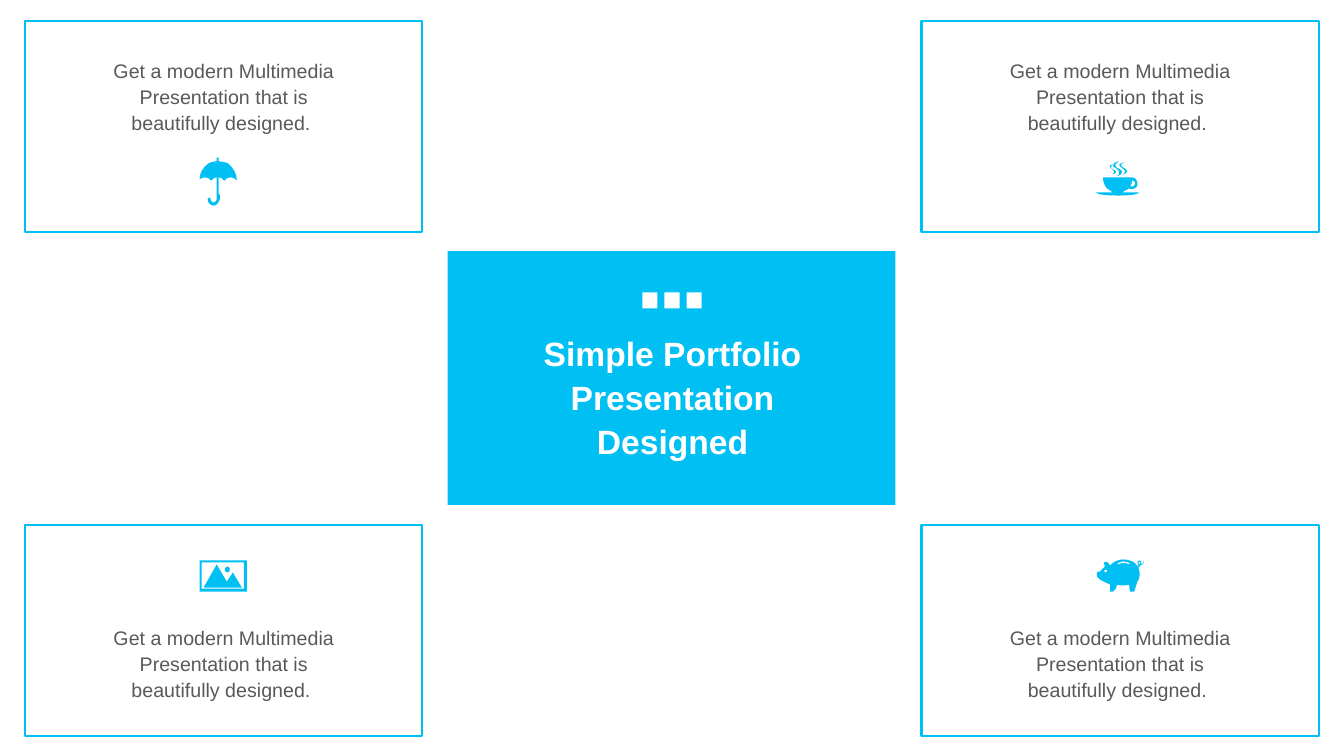
import lxml.etree
import pptx
import pptx.dml.color
import pptx.enum.shapes
import pptx.enum.text
import pptx.oxml.ns
import pptx.util

Inches = pptx.util.Inches
Pt = pptx.util.Pt
qn = pptx.oxml.ns.qn
RECTANGLE = pptx.enum.shapes.MSO_SHAPE.RECTANGLE
ANCHOR = pptx.enum.text.MSO_ANCHOR
AUTO_SIZE = pptx.enum.text.MSO_AUTO_SIZE

CYAN = pptx.dml.color.RGBColor(0x00, 0xBF, 0xF3)
WHITE = pptx.dml.color.RGBColor(0xFF, 0xFF, 0xFF)
GREY = pptx.dml.color.RGBColor(0x59, 0x59, 0x59)

TITLE = "Simple Portfolio Presentation Designed"
BLURB = "Get a modern Multimedia Presentation that is beautifully designed. "

# Icon outlines in hundredths of an inch: M starts, L lines, C cubic curves
UMBRELLA = """
M 18,0 C 19,0 19,0 19,1 L 19,4 C 22,4 25,5 28,6 33,10 37,16 37,23
C 35,21 33,20 31,20 28,20 26,21 25,23 L 24,23 C 23,21 21,20 19,20
L 19,37 20,37 20,42 C 19,45 17,48 14,48 11,48 8,45 8,42
C 8,41 9,40 10,40 10,40 11,41 11,42 11,43 12,45 14,45 15,45 17,43 17,42
L 17,20 C 15,20 13,21 12,23 L 11,23 C 10,21 8,20 5,20 3,20 1,21 0,22
C 0,16 3,10 9,6 11,5 14,4 17,4 L 17,1 C 17,0 18,0 18,0
"""
CUP = """
M 36,19 C 36,21 35,23 34,25 35,25 36,25 37,25 38,24 39,23 39,21 38,20 37,19 36,19
M 36,16 C 39,16 41,18 41,21 42,23 41,26 38,27 36,28 34,28 32,27
C 32,28 30,29 29,29 28,30 27,30 26,31 L 43,31 C 42,33 33,34 22,34
C 10,34 1,33 0,31 L 17,31 C 16,30 15,30 14,29 9,27 7,21 7,16
M 17,3 C 16,4 15,4 15,6 15,8 20,8 20,11 19,12 18,13 16,13
C 17,12 18,12 18,10 18,8 15,8 14,6 12,5 14,4 17,3
M 28,1 C 26,2 25,3 25,4 26,7 31,7 31,10 30,12 29,13 26,13
C 28,12 29,12 29,10 29,8 25,7 24,5 22,4 24,2 28,1
M 23,0 C 21,2 19,2 19,4 20,8 26,7 26,11 25,13 24,14 21,15
C 23,13 23,13 23,11 23,8 19,7 17,5 16,3 18,1 23,0
"""
LANDSCAPE = """
M 28,6 C 29,6 30,8 30,9 30,11 29,12 28,12 26,12 25,11 25,9 25,8 26,6 28,6
M 17,4 L 27,21 33,12 42,27 30,27 23,27 4,27
M 2,2 L 2,28 44,28 44,2
M 0,0 L 47,0 47,31 0,31
"""
PIGGY = """
M 10,10 C 9,10 8,11 8,11 8,12 9,13 10,13 10,13 11,12 11,11 11,11 10,10 10,10
M 43,2 C 43,2 42,3 42,4 42,4 43,5 43,5 44,5 44,4 44,4 44,3 44,2 43,2
M 27,2 C 25,2 23,3 21,4 L 22,5 C 25,3 30,3 33,5 L 34,4 C 32,3 30,2 27,2
M 27,0 C 32,0 38,2 40,5 L 41,7 C 42,6 42,6 42,6 41,5 41,5 41,3
C 41,2 42,1 43,1 45,1 45,2 45,4 45,4 45,4 45,5 46,4 47,5 47,1
C 48,4 46,6 44,6 43,7 43,8 42,8 42,8 42,8 42,8 L 43,11 C 44,15 43,20 41,22
C 40,26 39,28 38,32 38,32 34,32 34,32 33,29 33,27 33,25
C 29,26 24,26 21,25 21,28 19,30 17,32 L 14,32 C 14,32 14,27 14,25
C 9,22 -1,20 1,13 1,12 3,12 4,12 6,10 7,9 9,7 8,6 8,3 8,3
C 12,1 12,4 14,6 17,2 23,0 27,0
"""


def read_outline(outline):
    """Return the contours of an outline, and the command of each later point."""
    contours, commands, command = [], [], ""
    for token in outline.split():
        if token.isalpha():
            command = token
            continue
        point = tuple(Inches(int(number) / 100) for number in token.split(","))
        if command == "M":
            contours.append([point])
        else:
            contours[-1].append(point)
            commands.append(command)
    return contours, commands


def bend(shape, commands):
    """Join each three line segments marked C into one cubic curve."""
    curve = None
    segments = list(shape.element.iter(qn("a:lnTo")))
    for segment, command in zip(segments, commands):
        if command != "C":
            continue
        if curve is None:
            curve = lxml.etree.Element(qn("a:cubicBezTo"))
            segment.addprevious(curve)
        curve.append(segment[0])
        segment.getparent().remove(segment)
        if len(curve) == 3:
            curve = None


class Painter:
    font = "Arial"
    line_spacing = 1.1

    def __init__(self, page):
        self.page = page

    def rectangle(self, left, top, width, height, fill=None, line=None, parent=None):
        shapes = (parent or self.page).shapes
        shape = shapes.add_shape(
            RECTANGLE, Inches(left), Inches(top), Inches(width), Inches(height))
        self.paint(shape, fill, line)

    def paint(self, shape, fill, line=None):
        shape.shadow.inherit = False
        if fill is None:
            shape.fill.background()
        else:
            shape.fill.solid()
            shape.fill.fore_color.rgb = fill
        if line is None:
            shape.line.fill.background()
        else:
            shape.line.color.rgb = line
            shape.line.width = Pt(1.5)

    def text(self, left, top, width, height, words, size, color, bold=False,
             anchor=ANCHOR.TOP, fit=AUTO_SIZE.NONE):
        box = self.page.shapes.add_textbox(
            Inches(left), Inches(top), Inches(width), Inches(height))
        box.text_frame.word_wrap = True
        box.text_frame.auto_size = fit
        box.text_frame.vertical_anchor = anchor
        para = box.text_frame.paragraphs[0]
        para.alignment = pptx.enum.text.PP_ALIGN.CENTER
        para.line_spacing = self.line_spacing
        span = para.add_run()
        span.text = words
        span.font.name = self.font
        span.font.size = Pt(size)
        span.font.bold = bold
        span.font.color.rgb = color

    def icon(self, left, top, outline):
        contours, commands = read_outline(outline)
        builder = self.page.shapes.build_freeform(*contours[0][0], scale=1.0)
        for contour in contours:
            if contour is not contours[0]:
                builder.move_to(*contour[0])
            builder.add_line_segments(contour[1:], close=True)
        shape = builder.convert_to_shape(Inches(left), Inches(top))
        bend(shape, commands)
        self.paint(shape, CYAN)


def main():
    deck = pptx.Presentation()
    deck.slide_width, deck.slide_height = Inches(13.33), Inches(7.5)
    page = deck.slides.add_slide(deck.slide_layouts[6])
    painter = Painter(page)

    # Centre panel with title and three small squares
    painter.rectangle(4.44, 2.49, 4.44, 2.52, fill=CYAN)
    painter.text(5.29, 3.15, 2.76, 1.54, TITLE, 24, WHITE, bold=True, anchor=ANCHOR.MIDDLE)
    squares = page.shapes.add_group_shape()
    for index in range(3):
        painter.rectangle(6.37 + 0.22 * index, 2.9, 0.15, 0.16, fill=WHITE, parent=squares)

    # Corner cards: frame left, frame top, text top, icon top, icon
    cards = [
        (0.25, 0.21, 0.51, 1.56, UMBRELLA),
        (9.14, 0.21, 0.51, 1.6, CUP),
        (0.25, 5.21, 6.14, 5.56, LANDSCAPE),
        (9.14, 5.21, 6.14, 5.55, PIGGY),
    ]
    for left, top, text_top, icon_top, outline in cards:
        painter.rectangle(left, top, 3.94, 2.09, line=CYAN)
        painter.text(left + 0.58, text_top, 2.78, 0.88, BLURB, 14, GREY,
                     fit=AUTO_SIZE.SHAPE_TO_FIT_TEXT)
        painter.icon(left + 1.73, icon_top, outline)

    deck.save("out.pptx")


if __name__ == "__main__":
    main()
